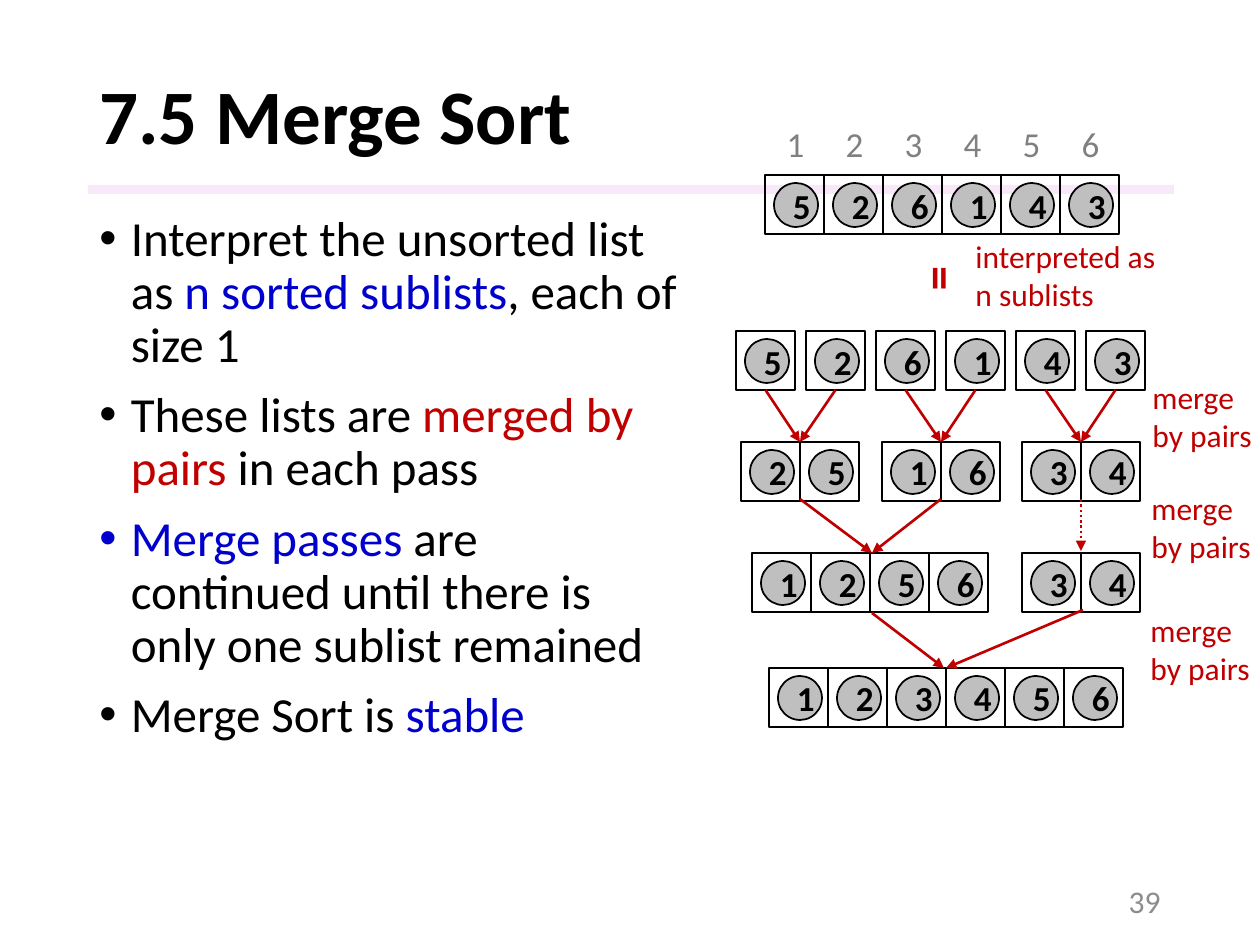
from lxml.etree import SubElement as Sub
from pptx import Presentation
from pptx.dml.color import RGBColor
from pptx.enum.dml import MSO_LINE as Dash
from pptx.enum.shapes import MSO_CONNECTOR as Conn, MSO_SHAPE as Geo
from pptx.enum.text import MSO_ANCHOR as Anchor, PP_ALIGN as Align
from pptx.oxml.ns import qn
from pptx.util import Pt

SCALE = 914400 / 126
FONT = "Calibri"
BLACK = RGBColor(0x00, 0x00, 0x00)
BLUE = RGBColor(0x00, 0x00, 0xCC)
RED = RGBColor(0xC0, 0x00, 0x00)
GRAY = RGBColor(0x80, 0x80, 0x80)
PALE = RGBColor(0x8C, 0x8C, 0x8C)
SILVER = RGBColor(0xBF, 0xBF, 0xBF)
PINK = RGBColor(0xF3, 0xD2, 0xF4)
CELL, DISC, PAD = 59, 44, 9

POINTS = [
    [("Interpret the unsorted list as ", BLACK), ("n sorted sublists", BLUE),
     (", each of size 1", BLACK)],
    [("These lists are ", BLACK), ("merged by pairs", RED),
     (" in each pass", BLACK)],
    [("Merge passes ", BLUE),
     ("are continued until there is only one sublist remained", BLACK)],
    [("Merge Sort is ", BLACK), ("stable", BLUE)],
]


def px(*vals):
    return [round(val * SCALE) for val in vals]


def style(para, size, color, bold=False, align=None):
    font = para.font
    font.name, font.size, font.bold = FONT, Pt(size), bold
    font.color.rgb = color
    para.alignment = align


def label(slide, box, text, size, color, bold=False, align=None,
          wrap=True, anchor=Anchor.TOP):
    shape = slide.shapes.add_textbox(*px(*box))
    frame = shape.text_frame
    frame.word_wrap = wrap
    frame.vertical_anchor = anchor
    para = frame.paragraphs[0]
    para.text = text
    style(para, size, color, bold, align)
    return shape


def header(slide, box):
    x, y, w, h = box
    bar = slide.shapes.add_shape(Geo.RECTANGLE, *px(x + 1, y + 135, w, 9))
    bar.shadow.inherit = False
    bar.line.fill.background()
    bar.fill.solid()
    bar.fill.fore_color.rgb = PINK
    tint = bar.fill._xPr.find(".//" + qn("a:srgbClr"))
    Sub(tint, qn("a:alpha"), val="50000")
    title = label(slide, box, "7.5 Merge Sort", 44, BLACK, True,
                  anchor=Anchor.MIDDLE)
    title.text_frame.paragraphs[0].line_spacing = 0.9


def points(slide, box):
    frame = slide.shapes.add_textbox(*px(*box)).text_frame
    frame.word_wrap = True
    for i, parts in enumerate(POINTS):
        para = frame.add_paragraph() if i else frame.paragraphs[0]
        props = para._p.get_or_add_pPr()
        props.set("marL", "228600")
        props.set("indent", "-228600")
        para.line_spacing = 0.9
        if i:
            para.space_before = Pt(10)
        Sub(props, qn("a:buFont"), typeface="Arial")
        Sub(props, qn("a:buChar"), char="•")
        style(para, 28, BLACK)
        for text, color in parts:
            run = para.add_run()
            run.text = text
            run.font.color.rgb = color


def cell(slide, x, y, num):
    square = slide.shapes.add_shape(Geo.RECTANGLE, *px(x, y, CELL, CELL))
    square.fill.background()
    disc = slide.shapes.add_shape(
        Geo.OVAL, *px(x + PAD, y + PAD - 1, DISC, DISC))
    disc.fill.solid()
    disc.fill.fore_color.rgb = SILVER
    for shape in (square, disc):
        shape.shadow.inherit = False
        shape.line.color.rgb = BLACK
        shape.line.width = Pt(1)
    para = disc.text_frame.paragraphs[0]
    para.text = num
    style(para, 20, BLACK, True, Align.CENTER)
    return square


def cells(slide, x, y, nums, pitch=CELL):
    return [cell(slide, x + i * pitch, y, num) for i, num in enumerate(nums)]


def arrow(slide, start, end, source=None, dash=None):
    line = slide.shapes.add_connector(Conn.STRAIGHT, *px(*start, *end))
    if source:
        line.begin_connect(source, 2)
    line.line.color.rgb = RED
    line.line.width = Pt(1.5)
    if dash:
        line.line.dash_style = dash
    Sub(line.line._get_or_add_ln(), qn("a:tailEnd"), type="triangle")
    Sub(line._element.spPr, qn("a:effectLst"))


def diagram(slide, box):
    x, y, w, h = box
    for i in range(6):
        label(slide, (x + 38 + i * CELL, y, 43, 55), str(i + 1), 20, GRAY,
              align=Align.CENTER, wrap=False)
    cells(slide, x + 29, y + 59, "526143")
    equal = label(slide, (x + 182, y + 127, 50, 72), "=", 28, RED, True,
                  wrap=False)
    equal.rotation = 90
    label(slide, (x + 227, y + 115, 207, 89), "interpreted as n sublists",
          18, RED)

    ones = cells(slide, x, y + 215, "526143", 70)
    pairs = [x + 5, x + 146, x + 286]
    for left, nums in zip(pairs, ("25", "16", "34")):
        cells(slide, left, y + 326, nums)
    cells(slide, x + 16, y + 437, "1256")
    cells(slide, x + 286, y + 437, "34")
    cells(slide, x + 33, y + 552, "123456")

    mids = [left + CELL for left in pairs]
    for i, one in enumerate(ones):
        arrow(slide, (x, y), (mids[i // 2], y + 326), one)
    four = x + 16 + 2 * CELL
    six = x + 33 + 3 * CELL
    for mid in mids[:2]:
        arrow(slide, (mid, y + 383), (four + 2, y + 437))
    arrow(slide, (mids[2], y + 383), (mids[2], y + 435), dash=Dash.ROUND_DOT)
    arrow(slide, (four + 2, y + 497), (six - 2, y + 552))
    arrow(slide, (mids[2] + 2, y + 494), (six, y + 552))

    for dx, dy in ((404, 256), (403, 367), (402, 489)):
        label(slide, (x + dx, y + dy, 207, 89), "merge\vby pairs", 18, RED)


def main():
    deck = Presentation()
    deck.slide_width, deck.slide_height = px(1260, 945)
    slide = deck.slides.add_slide(deck.slide_layouts[6])
    header(slide, (87, 50, 1086, 140))
    points(slide, (87, 208, 606, 703))
    label(slide, (889, 876, 284, 50), "39", 18, PALE, align=Align.RIGHT,
          anchor=Anchor.MIDDLE)
    diagram(slide, (736, 116, 524, 611))
    deck.save("out.pptx")


if __name__ == "__main__":
    main()
